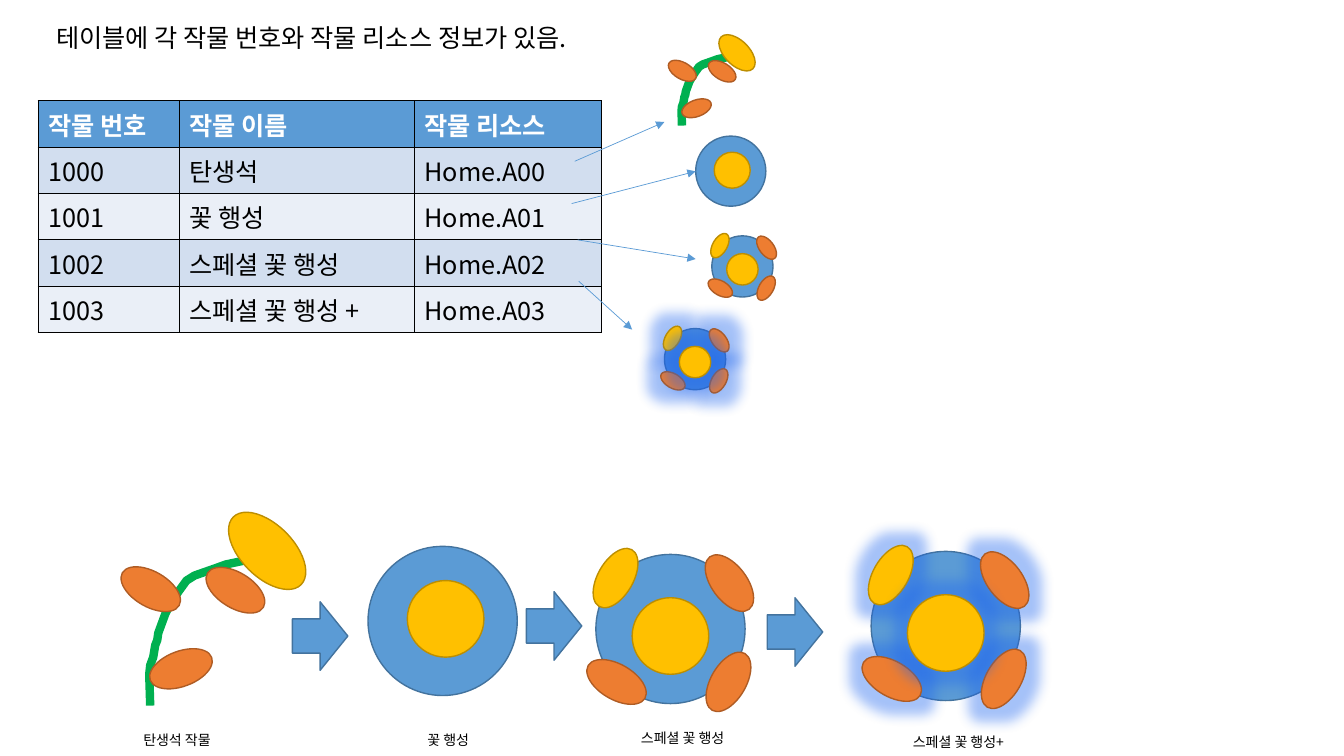
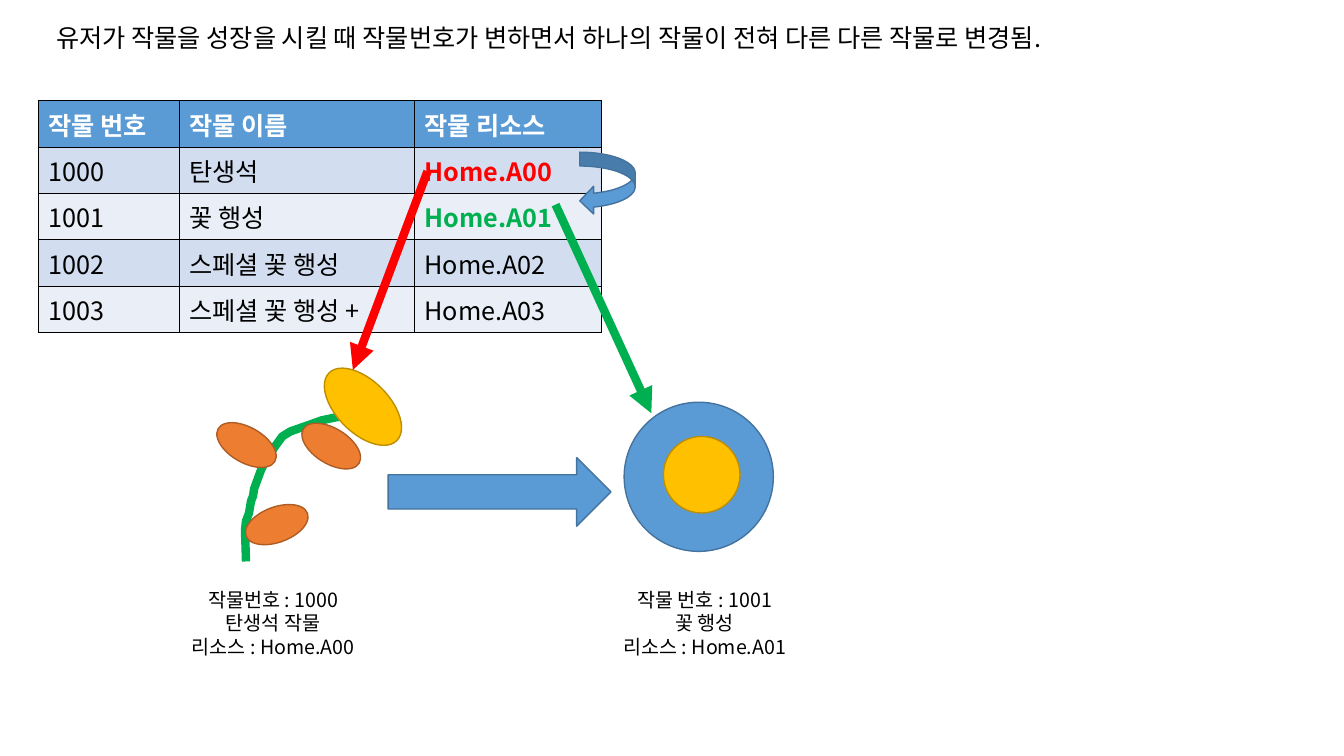
import pptx
import pptx.dml.color
import pptx.enum.shapes
import pptx.enum.text
import pptx.oxml
import pptx.oxml.ns
import pptx.util

Inches = pptx.util.Inches
Pt = pptx.util.Pt
RGBColor = pptx.dml.color.RGBColor
Preset = pptx.enum.shapes.MSO_SHAPE
Align = pptx.enum.text.PP_ALIGN

FONT = "Noto Sans CJK KR"
BLACK = RGBColor(0x00, 0x00, 0x00)
WHITE = RGBColor(0xFF, 0xFF, 0xFF)
RED = RGBColor(0xFF, 0x00, 0x00)
GREEN = RGBColor(0x00, 0xB0, 0x50)
BLUE = RGBColor(0x5B, 0x9B, 0xD5)
YELLOW = RGBColor(0xFF, 0xC0, 0x00)
ORANGE = RGBColor(0xED, 0x7D, 0x31)
BAND_DARK = RGBColor(0xD2, 0xDE, 0xEF)
BAND_LIGHT = RGBColor(0xEA, 0xEF, 0xF7)
GLOW = RGBColor(0x1F, 0x66, 0xF0)
OUTLINES = {
    BLUE: RGBColor(0x43, 0x73, 0x9E),
    YELLOW: RGBColor(0xBD, 0x8E, 0x00),
    ORANGE: RGBColor(0xAF, 0x5C, 0x24),
}
NS = pptx.oxml.ns.nsdecls("a")

COLUMN_WIDTHS = [1.4, 2.33, 1.86]
ROW_HEIGHT = 0.46
CROPS = [
    ("작물 번호", "작물 이름", "작물 리소스"),
    ("1000", "탄생석", "Home.A00"),
    ("1001", "꽃 행성", "Home.A01"),
    ("1002", "스페셜 꽃 행성", "Home.A02"),
    ("1003", "스페셜 꽃 행성 +", "Home.A03"),
]

# Plant parts at full size, measured from the top left of the stem or planet:
# left, top, width, height, rotation, colour
STEM = [
    (1.21, 0), (1.03, 0.01), (0.95, 0.04), (0.76, 0.08), (0.65, 0.12), (0.45, 0.19),
    (0.37, 0.24), (0.29, 0.35), (0.2, 0.49), (0.16, 0.57), (0.09, 0.76), (0.08, 0.83),
    (0.06, 0.88), (0.04, 1), (0.01, 1.08), (0, 1.17), (0.01, 1.48),
]
PLANET_BODY = (0, 0, 1.48, 1.48, 0, BLUE)
SPROUT = [
    (0.91, -0.53, 0.52, 0.95, 315, YELLOW),
    (0.68, 0.01, 0.35, 0.65, 121.8, ORANGE),
    (0.14, 0.79, 0.35, 0.65, 69.7, ORANGE),
    (-0.16, 0, 0.35, 0.65, 120, ORANGE),
]
PLANET = [PLANET_BODY, (0.39, 0.34, 0.76, 0.76, 0, YELLOW)]
SPECIAL = [
    PLANET_BODY,
    (1.15, -0.04, 0.35, 0.65, 323.2, ORANGE),
    (1.14, 0.94, 0.35, 0.65, 30, ORANGE),
    (0.03, 0.94, 0.35, 0.65, 120, ORANGE),
    (0.02, -0.09, 0.35, 0.65, 210, YELLOW),
    (0.36, 0.43, 0.76, 0.76, 0, YELLOW),
]

SLIDES = [
    {
        "title": ("테이블에 각 작물 번호와 작물 리소스 정보가 있음.", 5.88),
        "highlights": {},
        # parts, left, top, scale, glowing
        "plants": [
            (SPROUT, 1.48, 5.52, 1, False),
            (PLANET, 3.65, 5.42, 1, False),
            (SPECIAL, 5.91, 5.5, 1, False),
            (SPECIAL, 8.64, 5.47, 1, True),
            (SPROUT, 6.76, 0.55, 0.47, False),
            (PLANET, 6.9, 1.35, 0.47, False),
            (SPECIAL, 7.06, 2.34, 0.41, False),
            (SPECIAL, 6.59, 3.26, 0.41, True),
        ],
        "arrows": [
            (Preset.RIGHT_ARROW, 2.9, 5.97, 0.55, 0.68),
            (Preset.RIGHT_ARROW, 5.22, 5.87, 0.55, 0.68),
            (Preset.RIGHT_ARROW, 7.61, 5.93, 0.55, 0.68),
        ],
        "label_size": 10,
        "labels": [
            (["탄생석 작물"], 1.28, 7.21, 0.95, 0.27),
            (["꽃 행성"], 4.11, 7.21, 0.67, 0.27),
            (["스페셜 꽃 행성"], 6.2, 7.19, 1.14, 0.27),
            (["스페셜 꽃 행성+"], 8.86, 7.23, 1.29, 0.27),
        ],
        "pointers": [
            (5.7, 1.6, 6.59, 1.21, BLUE, 0.5),
            (5.67, 2.02, 6.9, 1.7, BLUE, 0.5),
            (5.73, 2.38, 6.9, 2.57, BLUE, 0.5),
            (5.74, 2.79, 6.27, 3.27, BLUE, 0.5),
        ],
    },
    {
        "title": (
            "유저가 작물을 성장을 시킬 때 작물번호가 변하면서 "
            "하나의 작물이 전혀 다른 다른 작물로 변경됨.",
            11.21,
        ),
        "highlights": {"Home.A00": RED, "Home.A01": GREEN},
        "plants": [(SPROUT, 2.43, 4.09, 1, False), (PLANET, 6.19, 3.99, 1, False)],
        "arrows": [
            (Preset.RIGHT_ARROW, 3.85, 4.54, 2.21, 0.68),
            (Preset.CURVED_LEFT_ARROW, 5.75, 1.51, 0.55, 0.62),
        ],
        "label_size": 14,
        "labels": [
            (["작물번호 : 1000", "탄생석 작물", "리소스 : Home.A00"], 1.76, 5.78, 1.9, 0.81),
            (["작물 번호 : 1001", "꽃 행성", "리소스 : Home.A01"], 6.04, 5.78, 1.9, 0.81),
        ],
        "pointers": [
            (4.24, 1.7, 3.5, 3.67, RED, 6),
            (5.51, 2.03, 6.46, 4.1, GREEN, 6),
        ],
    },
]


def write(frame, lines, size, color=BLACK, bold=False, align=Align.LEFT):
    frame.text = "\n".join(lines)
    for paragraph in frame.paragraphs:
        paragraph.alignment = align
        paragraph.font.name = FONT
        paragraph.font.size = Pt(size)
        paragraph.font.bold = bold
        paragraph.font.color.rgb = color


def add_outlined(shapes, preset, left, top, width, height, color):
    """Add a flat shape whose outline is the darker tone of its fill."""
    shape = shapes.add_shape(preset, Inches(left), Inches(top), Inches(width), Inches(height))
    shape.shadow.inherit = False
    shape.fill.solid()
    shape.fill.fore_color.rgb = color
    shape.line.color.rgb = OUTLINES[color]
    shape.line.width = Pt(1)
    return shape


presentation = pptx.Presentation()
presentation.slide_width = Inches(13.33)
presentation.slide_height = Inches(7.5)

for content in SLIDES:
    slide = presentation.slides.add_slide(presentation.slide_layouts[6])

    title, title_width = content["title"]
    heading = slide.shapes.add_textbox(Inches(0.46), Inches(0.17), Inches(title_width), Inches(0.4))
    heading.text_frame.word_wrap = False
    write(heading.text_frame, [title], 18)

    crop_table = slide.shapes.add_table(
        len(CROPS), len(COLUMN_WIDTHS), Inches(0.38), Inches(1),
        Inches(sum(COLUMN_WIDTHS)), Inches(ROW_HEIGHT * len(CROPS)),
    ).table
    for column, width in zip(crop_table.columns, COLUMN_WIDTHS):
        column.width = Inches(width)
    for row_index, crop in enumerate(CROPS):
        is_header = row_index == 0
        band = BLUE if is_header else BAND_DARK if row_index % 2 else BAND_LIGHT
        for column_index, value in enumerate(crop):
            cell = crop_table.cell(row_index, column_index)
            color = content["highlights"].get(value, WHITE if is_header else BLACK)
            write(cell.text_frame, [value], 18, color, bold=color != BLACK)
            properties = cell._tc.get_or_add_tcPr()
            for side in ("lnL", "lnR", "lnT", "lnB"):
                properties.append(pptx.oxml.parse_xml(
                    f'<a:{side} {NS} w="12700"><a:solidFill>'
                    f'<a:srgbClr val="{BLACK}"/></a:solidFill></a:{side}>'
                ))
            cell.fill.solid()
            cell.fill.fore_color.rgb = band

    for parts, left, top, scale, glowing in content["plants"]:
        plant = slide.shapes.add_group_shape().shapes
        if parts is SPROUT:
            points = [(Inches(left + x * scale), Inches(top + y * scale)) for x, y in STEM]
            outline = plant.build_freeform(*points[0])
            outline.add_line_segments(points[1:], close=False)
            stem = outline.convert_to_shape()
            stem.shadow.inherit = False
            stem.fill.background()
            stem.line.color.rgb = GREEN
            stem.line.width = Pt(6)
        for part in parts:
            x, y, width, height, rotation, color = part
            oval = add_outlined(
                plant, Preset.OVAL, left + x * scale, top + y * scale,
                width * scale, height * scale, color,
            )
            oval.rotation = rotation
            if glowing and part is not PLANET_BODY:
                effects = oval._element.spPr.find(pptx.oxml.ns.qn("a:effectLst"))
                effects.append(pptx.oxml.parse_xml(
                    f'<a:glow {NS} rad="228600"><a:srgbClr val="{GLOW}">'
                    '<a:alpha val="40000"/></a:srgbClr></a:glow>'
                ))

    for preset, left, top, width, height in content["arrows"]:
        add_outlined(slide.shapes, preset, left, top, width, height, BLUE)

    for lines, left, top, width, height in content["labels"]:
        label = slide.shapes.add_textbox(Inches(left), Inches(top), Inches(width), Inches(height))
        label.text_frame.word_wrap = False
        write(label.text_frame, lines, content["label_size"], align=Align.CENTER)

    for start_x, start_y, end_x, end_y, color, weight in content["pointers"]:
        pointer = slide.shapes.add_connector(
            pptx.enum.shapes.MSO_CONNECTOR.STRAIGHT,
            Inches(start_x), Inches(start_y), Inches(end_x), Inches(end_y),
        )
        pointer.line.color.rgb = color
        pointer.line.width = Pt(weight)
        pointer.line._get_or_add_ln().append(
            pptx.oxml.parse_xml(f'<a:tailEnd {NS} type="triangle"/>')
        )
        pointer._element.spPr.append(pptx.oxml.parse_xml(f"<a:effectLst {NS}/>"))

presentation.save("out.pptx")
